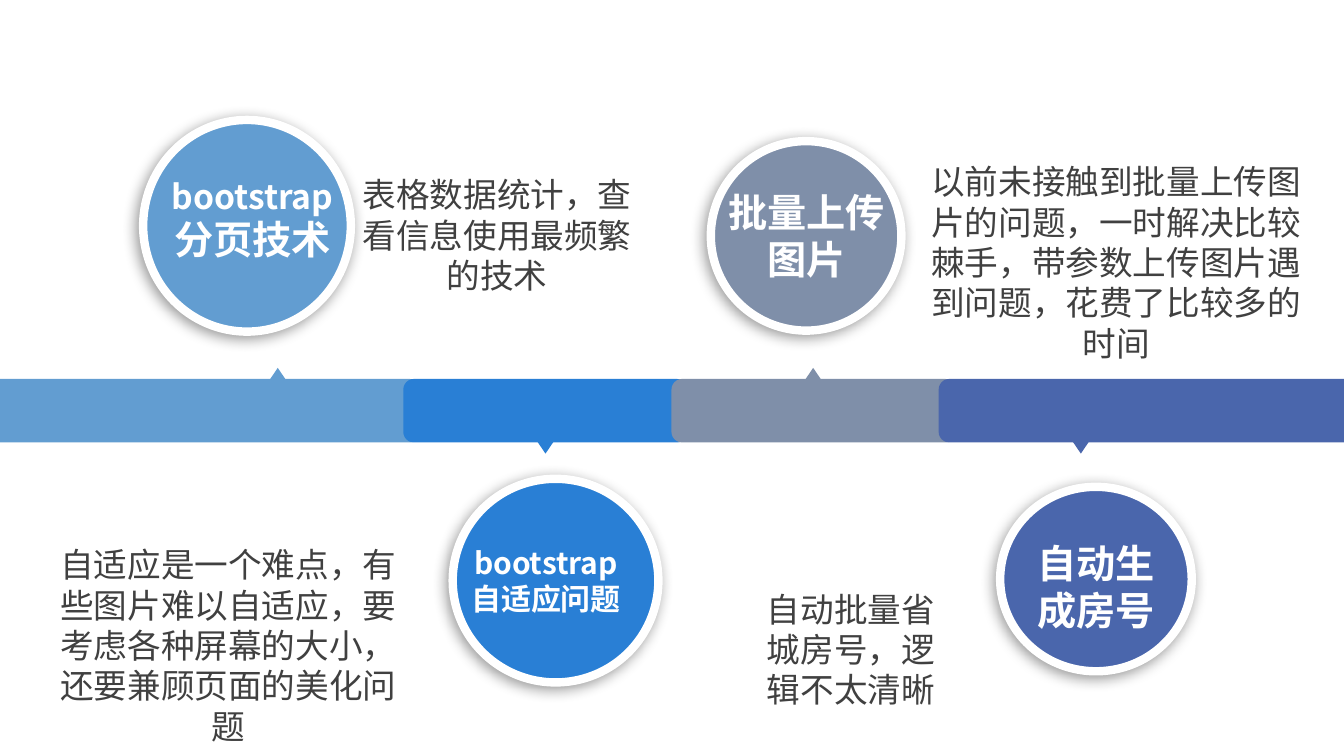
import pptx
import pptx.util
import pptx.dml.color
import pptx.enum.shapes
import pptx.enum.text
import pptx.oxml
import pptx.oxml.ns

Inches = pptx.util.Inches
SHAPES = pptx.enum.shapes.MSO_SHAPE
FONT = "Noto Sans CJK SC"
WHITE, GREY = "FFFFFF", "404040"

# Boxes are left, top, width, height in inches; label runs are (text, size).
TOPICS = [
    dict(color="629DD1", bar=(-0.16, 4.33), points_up=True,
         circle=(1.42, 1.19, 2.06, 2.1),
         label=[("bootstrap", 24), ("分页技术", 28)], label_box=(1.53, 1.74, 1.95, 0.88),
         note="表格数据统计，查看信息使用最频繁的技术", note_box=(3.48, 1.73, 2.9, 1.21)),
    dict(color="297FD5", bar=(4, 2.82), points_up=False,
         circle=(4.49, 4.75, 2.04, 2.02),
         label=[("bootstrap自适应问题", 21.4)], label_box=(4.59, 5.4, 1.65, 0.72),
         note="自适应是一个难点，有些图片难以自适应，要考虑各种屏幕的大小，还要兼顾页面的美化问题",
         note_box=(0.53, 5.4, 3.47, 2.02)),
    dict(color="7F8FA9", bar=(6.66, 2.82), points_up=True,
         circle=(7.05, 1.4, 1.89, 1.88),
         label=[("批量上传图片", 28)], label_box=(7.2, 1.87, 1.6, 0.94),
         note="以前未接触到批量上传图片的问题，一时解决比较棘手，带参数上传图片遇到问题，花费了比较多的时间",
         note_box=(9.17, 1.6, 3.8, 2.02)),
    dict(color="4A66AC", bar=(9.31, 4.18), points_up=False,
         circle=(9.92, 4.83, 1.9, 1.83),
         label=[("自动生成房号", 28)], label_box=(10.11, 5.35, 1.52, 0.94),
         note="自动批量省城房号，逻辑不太清晰", note_box=(7.57, 5.84, 1.74, 1.21)),
]
BAR_TOP, BAR_HEIGHT = 3.76, 0.63
POINTER_LEFT, POINTER_STEP = 2.66, 2.655
POINTER_WIDTH, POINTER_HEIGHT = 0.19, 0.14
POINTER_TOP_UP, POINTER_TOP_DOWN = 3.65, 4.36


def rgb(color):
    return pptx.dml.color.RGBColor.from_string(color)


def add_filled(slide, kind, box, color):
    shape = slide.shapes.add_shape(kind, *map(Inches, box))
    shape.shadow.inherit = False
    shape.fill.solid()
    shape.fill.fore_color.rgb = rgb(color)
    shape.line.fill.background()
    return shape


def add_bar(slide, index, topic):
    """Add one timeline segment with the small triangle towards its circle."""
    left, width = topic["bar"]
    add_filled(slide, SHAPES.ROUNDED_RECTANGLE,
               (left, BAR_TOP, width, BAR_HEIGHT), topic["color"])
    top = POINTER_TOP_UP if topic["points_up"] else POINTER_TOP_DOWN
    pointer = add_filled(slide, SHAPES.ISOSCELES_TRIANGLE,
                         (POINTER_LEFT + index * POINTER_STEP, top,
                          POINTER_WIDTH, POINTER_HEIGHT), topic["color"])
    pointer.rotation = 0 if topic["points_up"] else 180


def add_circle(slide, topic):
    circle = add_filled(slide, SHAPES.OVAL, topic["circle"], topic["color"])
    circle.line.color.rgb = rgb(WHITE)
    circle.line.width = pptx.util.Pt(6)
    effects = circle._element.spPr.find(pptx.oxml.ns.qn("a:effectLst"))
    effects.append(pptx.oxml.parse_xml(
        f'<a:outerShdw {pptx.oxml.ns.nsdecls("a")} blurRad="127000" dist="38100" '
        'dir="8100000" algn="tr" rotWithShape="0">'
        '<a:srgbClr val="000000"><a:alpha val="40000"/></a:srgbClr></a:outerShdw>'))


def add_text(slide, box, runs, color, bold=False):
    frame = slide.shapes.add_textbox(*map(Inches, box)).text_frame
    frame.word_wrap = True
    frame.auto_size = pptx.enum.text.MSO_AUTO_SIZE.SHAPE_TO_FIT_TEXT
    frame.margin_left = frame.margin_right = frame.margin_top = frame.margin_bottom = 0
    paragraph = frame.paragraphs[0]
    paragraph.alignment = pptx.enum.text.PP_ALIGN.CENTER
    for text, size in runs:
        run = paragraph.add_run()
        run.text = text
        run.font.size = pptx.util.Pt(size)
        run.font.bold = bold
        run.font.color.rgb = rgb(color)
        run.font.name = FONT
        east_asian = pptx.oxml.parse_xml(
            f'<a:ea {pptx.oxml.ns.nsdecls("a")} typeface="{FONT}"/>')
        run.font._element.find(pptx.oxml.ns.qn("a:latin")).addnext(east_asian)


def main():
    presentation = pptx.Presentation()
    presentation.slide_width = Inches(13.33)
    presentation.slide_height = Inches(7.5)
    slide = presentation.slides.add_slide(presentation.slide_layouts[6])
    for index, topic in enumerate(TOPICS):
        add_bar(slide, index, topic)
    for topic in TOPICS:
        add_circle(slide, topic)
        add_text(slide, topic["note_box"], [(topic["note"], 24)], GREY)
        add_text(slide, topic["label_box"], topic["label"], WHITE, bold=True)
    presentation.save("out.pptx")


if __name__ == "__main__":
    main()
